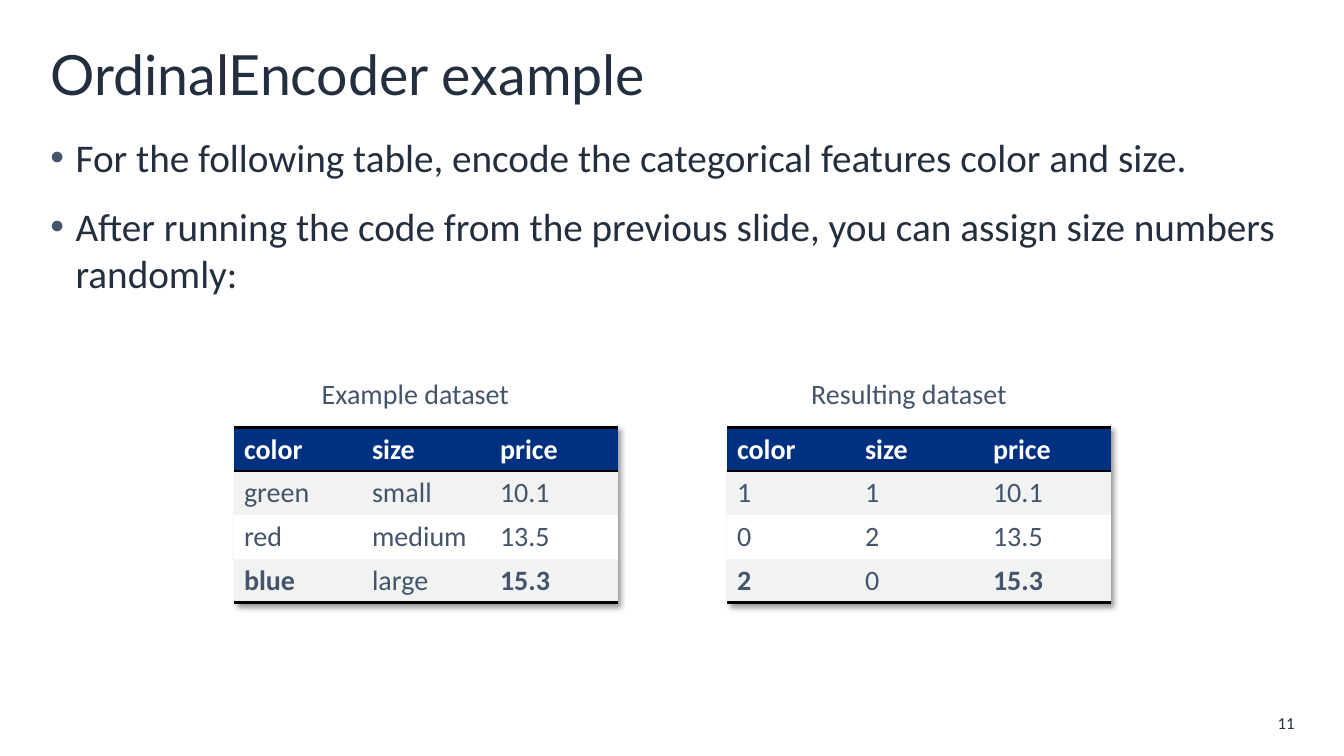
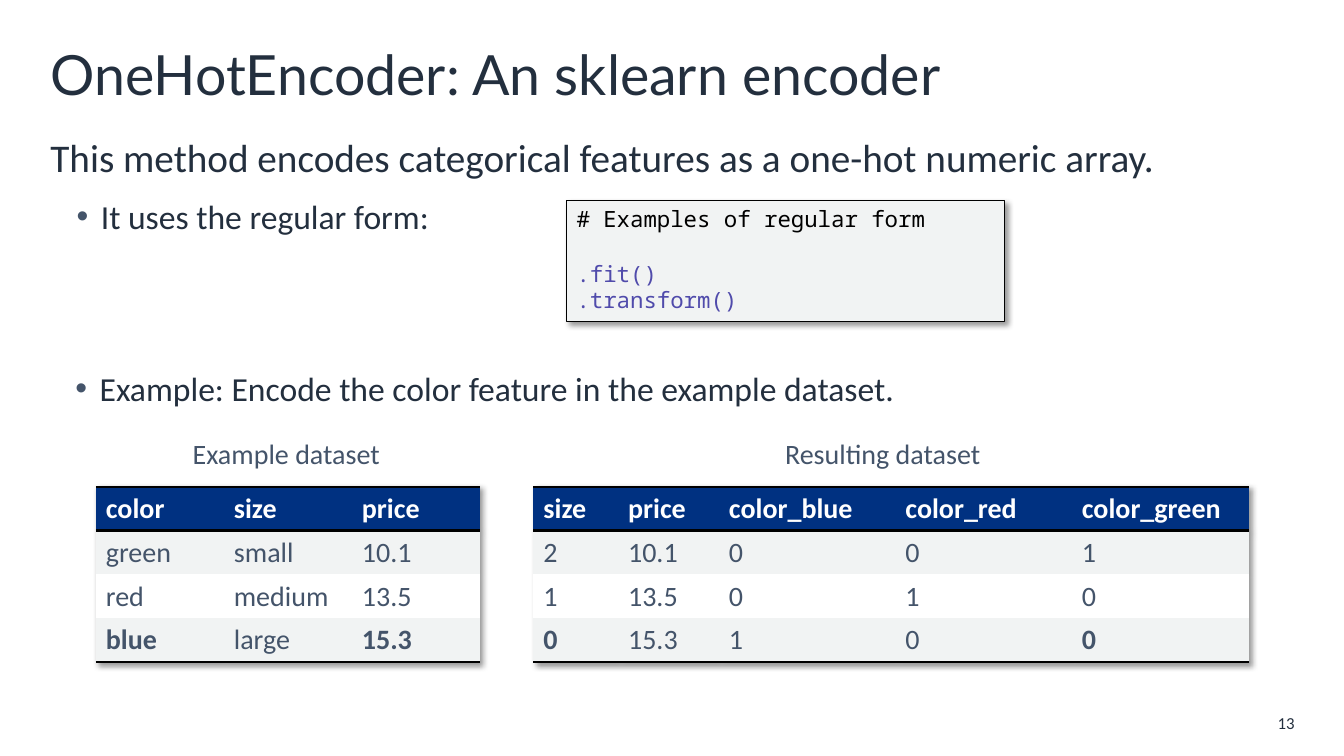
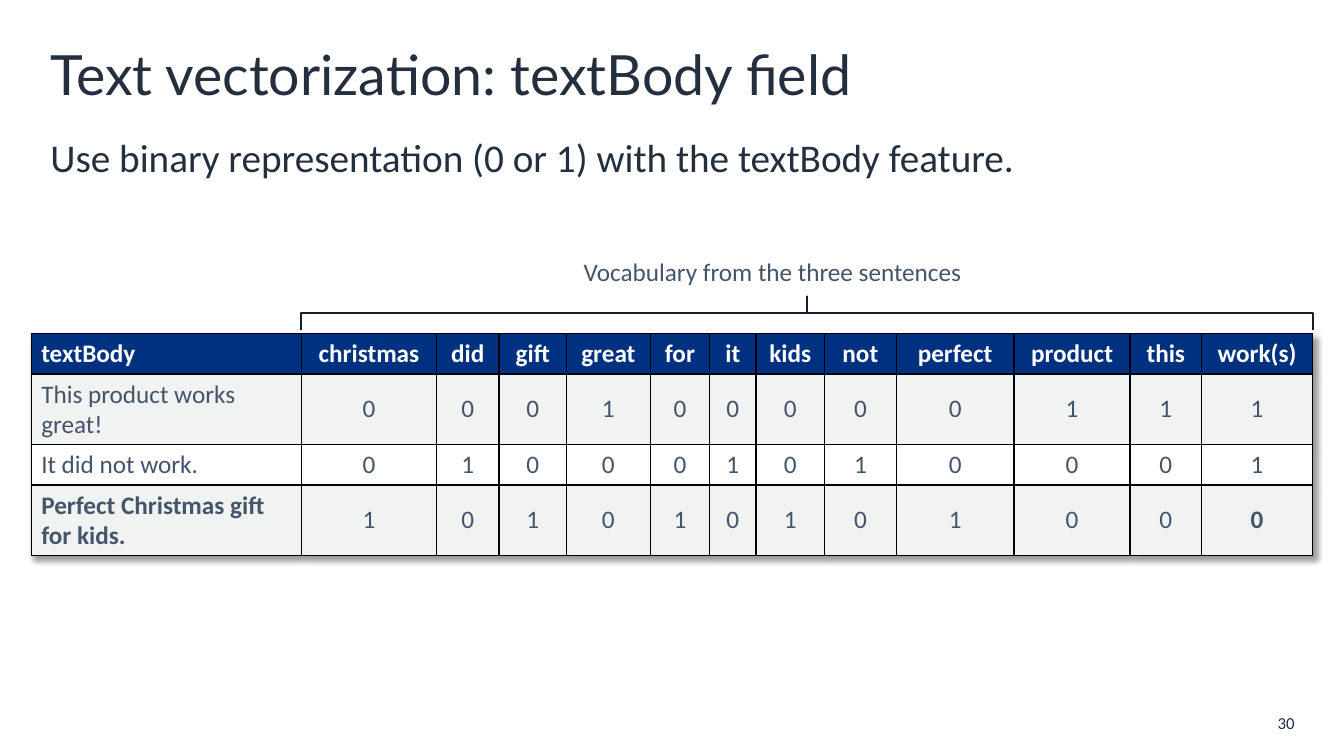
from dataclasses import dataclass
from typing import Optional

from lxml import etree
from pptx import Presentation
from pptx import util as u
from pptx.dml.color import RGBColor
from pptx.enum import shapes, text
from pptx.oxml.ns import qn

# Shared look
HUE = {
    "ink": "232F3E",
    "gray": "44546A",
    "navy": "003181",
    "pale": "F1F3F3",
    "white": "FFFFFF",
    "black": "000000",
    "code": "504BAB",
    "brace": "161E2D",
}
SANS, HEAD, MONO = "Calibri", "Lato", "Noto Sans Mono"
LEFT, MID, RIGHT = text.PP_ALIGN.LEFT, text.PP_ALIGN.CENTER, text.PP_ALIGN.RIGHT
PLAIN = "{2D5ABB26-0587-4C30-8999-92F81FD0307C}"


@dataclass
class Box:
    left: float
    top: float
    width: float
    height: float

    def args(self) -> list:
        return [u.Inches(n) for n in (self.left, self.top, self.width, self.height)]


@dataclass
class Item:
    """One paragraph of the body list."""
    words: str
    level: int = 0
    dot: bool = True


@dataclass
class Grid:
    """A table with a dark head row; rows are lists of words."""
    left: float
    top: float
    cols: list
    rows: list
    tall: list
    size: float = 20
    boxed: bool = False


def rgb(name: str) -> RGBColor:
    return RGBColor.from_string(HUE[name])


# Text
def put(par, words: str, *, size: float = 20, hue: str = "gray", font: str = SANS,
        bold: bool = False, align=LEFT, before: float = 0, after: float = 0) -> None:
    par.alignment = align
    par.space_before, par.space_after = u.Pt(before), u.Pt(after)
    run = par.add_run()
    run.text = words
    run.font.size, run.font.name, run.font.bold = u.Pt(size), font, bold
    run.font.color.rgb = rgb(hue)


def entry(par, item: Item) -> None:
    sub = item.level > 0
    par.level = item.level
    put(par, item.words, size=24 if sub else 28, hue="ink",
        before=5 if sub else 10, after=6)
    props = par._p.get_or_add_pPr()
    margin, indent = (0.5, -0.24) if sub else (0.25, -0.25)
    if not item.dot:
        margin = indent = 0
    props.set("marL", str(u.Inches(margin)))
    props.set("indent", str(u.Inches(indent)))
    if item.dot:
        tint = etree.SubElement(props, qn("a:buClr"))
        etree.SubElement(tint, qn("a:srgbClr"), val=HUE["gray"])
        etree.SubElement(props, qn("a:buFont"), typeface="Arial")
        etree.SubElement(props, qn("a:buChar"), char="•")
    else:
        etree.SubElement(props, qn("a:buNone"))


def frame(slide, box: Box, anchor=text.MSO_ANCHOR.TOP):
    area = slide.shapes.add_textbox(*box.args()).text_frame
    area.word_wrap, area.vertical_anchor = True, anchor
    return area


def label(slide, box: Box, words: str, **form) -> None:
    put(frame(slide, box).paragraphs[0], words, **form)


def holder(shape, box: Box, anchor):
    shape.left, shape.top, shape.width, shape.height = box.args()
    area = shape.text_frame
    area.auto_size = text.MSO_AUTO_SIZE.NONE
    area.word_wrap, area.vertical_anchor = True, anchor
    return area


# Slide base: title, list and page number
def page(deck, title: str, items: list, number: str):
    slide = deck.slides.add_slide(deck.slide_layouts[1])
    top, middle = text.MSO_ANCHOR.TOP, text.MSO_ANCHOR.MIDDLE
    area = holder(slide.shapes.title, Box(0.4, 0.33, 12.54, 0.8), middle)
    put(area.paragraphs[0], title, size=39.6, hue="ink", font=HEAD)
    area = holder(slide.placeholders[1], Box(0.4, 1.27, 12.54, 5.76), top)
    for i, item in enumerate(items):
        entry(area.add_paragraph() if i else area.paragraphs[0], item)
    area = frame(slide, Box(12.41, 7.05, 0.53, 0.25), middle)
    put(area.paragraphs[0], number, size=12, hue="ink", align=RIGHT)
    return slide


# Shadow and borders
def shade(effects) -> None:
    cast = etree.SubElement(effects, qn("a:outerShdw"), blurRad=str(u.Pt(4)),
                            dist=str(u.Pt(3)), dir="2700000", algn="tl", rotWithShape="0")
    tint = etree.SubElement(cast, qn("a:srgbClr"), val=HUE["black"])
    etree.SubElement(tint, qn("a:alpha"), val="40000")


def edge(cell, sides: str, width: float) -> None:
    props = cell._tc.get_or_add_tcPr()
    for i, side in enumerate(sides):
        line = etree.Element(qn("a:ln" + side), w=str(u.Pt(width)))
        fill = etree.SubElement(line, qn("a:solidFill"))
        etree.SubElement(fill, qn("a:srgbClr"), val=HUE["black"])
        props.insert(i, line)


# Tables
def table(slide, grid: Grid) -> None:
    box = Box(grid.left, grid.top, sum(grid.cols), sum(grid.tall))
    tab = slide.shapes.add_table(len(grid.rows), len(grid.cols), *box.args()).table
    tab.first_row = tab.horz_banding = False
    props = tab._tbl.tblPr
    props.find(qn("a:tableStyleId")).text = PLAIN
    effects = etree.Element(qn("a:effectLst"))
    props.insert(0, effects)
    shade(effects)
    for col, width in zip(tab.columns, grid.cols):
        col.width = u.Inches(width)
    last, end = len(grid.rows) - 1, len(grid.cols) - 1
    for r, row in enumerate(grid.rows):
        tab.rows[r].height = u.Inches(grid.tall[r])
        for c, words in enumerate(row):
            cell = tab.cell(r, c)
            cell.fill.solid()
            cell.fill.fore_color.rgb = rgb("navy" if r == 0 else "pale" if r % 2 else "white")
            strong = r == 0 or (r == last and c in (0, end))
            put(cell.text_frame.paragraphs[0], words, size=grid.size, bold=strong,
                hue="gray" if r else "white", align=MID if grid.boxed and c else LEFT)
            if grid.boxed:
                cell.vertical_anchor = text.MSO_ANCHOR.MIDDLE
                edge(cell, "LRTB", 1)
            elif r == 0:
                edge(cell, "TB", 2)
            elif r == last:
                edge(cell, "B", 2)


def pair(slide, top: float, spots: list, heads: list, result: list,
         cols: Optional[list] = None) -> None:
    """Example and resulting tables side by side, each under its caption."""
    sample = [s.split() for s in ("color size price", "green small 10.1",
                                  "red medium 13.5", "blue large 15.3")]
    even = [1.27] * 3
    sets = [("Example dataset", 2.32, sample, even),
            ("Resulting dataset", 2.77, [s.split() for s in result], cols or even)]
    for (name, width, rows, widths), spot, head in zip(sets, spots, heads):
        label(slide, Box(head, top - 0.55, width, 0.44), name, align=MID)
        table(slide, Grid(spot, top, widths, rows, [0.43] * 4))


# Code panel
def panel(slide, box: Box, lines: list) -> None:
    shape = slide.shapes.add_shape(shapes.MSO_SHAPE.RECTANGLE, *box.args())
    shape.fill.solid()
    shape.fill.fore_color.rgb = rgb("pale")
    shape.line.color.rgb = rgb("black")
    shape.line.width = u.Pt(0.75)
    shape.shadow.inherit = False
    shade(shape._element.spPr.find(qn("a:effectLst")))
    area = shape.text_frame
    area.word_wrap, area.vertical_anchor = True, text.MSO_ANCHOR.TOP
    for i, (words, hue, gap) in enumerate(lines):
        par = area.add_paragraph() if i else area.paragraphs[0]
        put(par, words, size=16, hue=hue, font=MONO, before=gap)


def brace(slide, box: Box) -> None:
    shape = slide.shapes.add_shape(shapes.MSO_SHAPE.RIGHT_BRACE, *box.args())
    shape.rotation = 270
    shape.adjustments[0], shape.adjustments[1] = 0, 0.5
    shape.fill.background()
    shape.line.color.rgb = rgb("brace")
    shape.line.width = u.Pt(1.5)
    shape.shadow.inherit = False


# Slides
def ordinal(deck) -> None:
    slide = page(deck, "OrdinalEncoder example", [
        Item("For the following table, encode the categorical features color and size."),
        Item("After running the code from the previous slide, "
             "you can assign size numbers randomly:"),
    ], "11")
    pair(slide, 4.24, [2.32, 7.21], [2.96, 7.63],
         ["color size price", "1 1 10.1", "0 2 13.5", "2 0 15.3"])


def onehot(deck) -> None:
    slide = page(deck, "OneHotEncoder: An sklearn encoder", [
        Item("This method encodes categorical features as a one-hot numeric array.", dot=False),
        Item("It uses the regular form:", level=1),
    ], "13")
    panel(slide, Box(5.62, 1.99, 4.34, 1.2), [
        ("# Examples of regular form", "black", 0),
        (".fit()", "code", 19.5),
        (".transform()", "code", 0),
    ])
    entry(frame(slide, Box(0.39, 3.6, 12.54, 1.23)).paragraphs[0],
          Item("Example: Encode the color feature in the example dataset.", level=1))
    pair(slide, 4.83, [0.95, 5.29], [1.68, 7.37],
         ["size price color_blue color_red color_green",
          "2 10.1 0 0 1", "1 13.5 0 1 0", "0 15.3 1 0 0"],
         [0.84, 1] + [1.75] * 2 + [1.66 + 0.1])


def vector(deck) -> None:
    slide = page(deck, "Text vectorization: textBody field", [
        Item("Use binary representation (0 or 1) with the textBody feature.", dot=False),
    ], "30")
    label(slide, Box(5.69, 2.49, 4.64, 0.4), "Vocabulary from the three sentences", size=18)
    brace(slide, Box(7.84, -1.91, 0.33, 10.03))
    vocab = "christmas did gift great for it kids not perfect product this work(s)"
    flags = {
        "This product works great!": "000100000111",
        "It did not work.": "010001010001",
        "Perfect Christmas gift for kids.": "101010101000",
    }
    rows = [["textBody", *vocab.split()]] + [[k, *bits] for k, bits in flags.items()]
    cols = [2.68, 1.34, 0.62, 0.67, 0.83, 0.59, 0.46, 0.68, 0.71, 1.17, 1.15, 0.71, 1.1]
    table(slide, Grid(0.31, 3.31, cols, rows, [0.4, 0.7] * 2, size=18, boxed=True))


def main() -> None:
    deck = Presentation()
    deck.slide_width, deck.slide_height = u.Inches(13.33), u.Inches(7.5)
    for build in (ordinal, onehot, vector):
        build(deck)
    deck.save("out.pptx")


if __name__ == "__main__":
    main()
